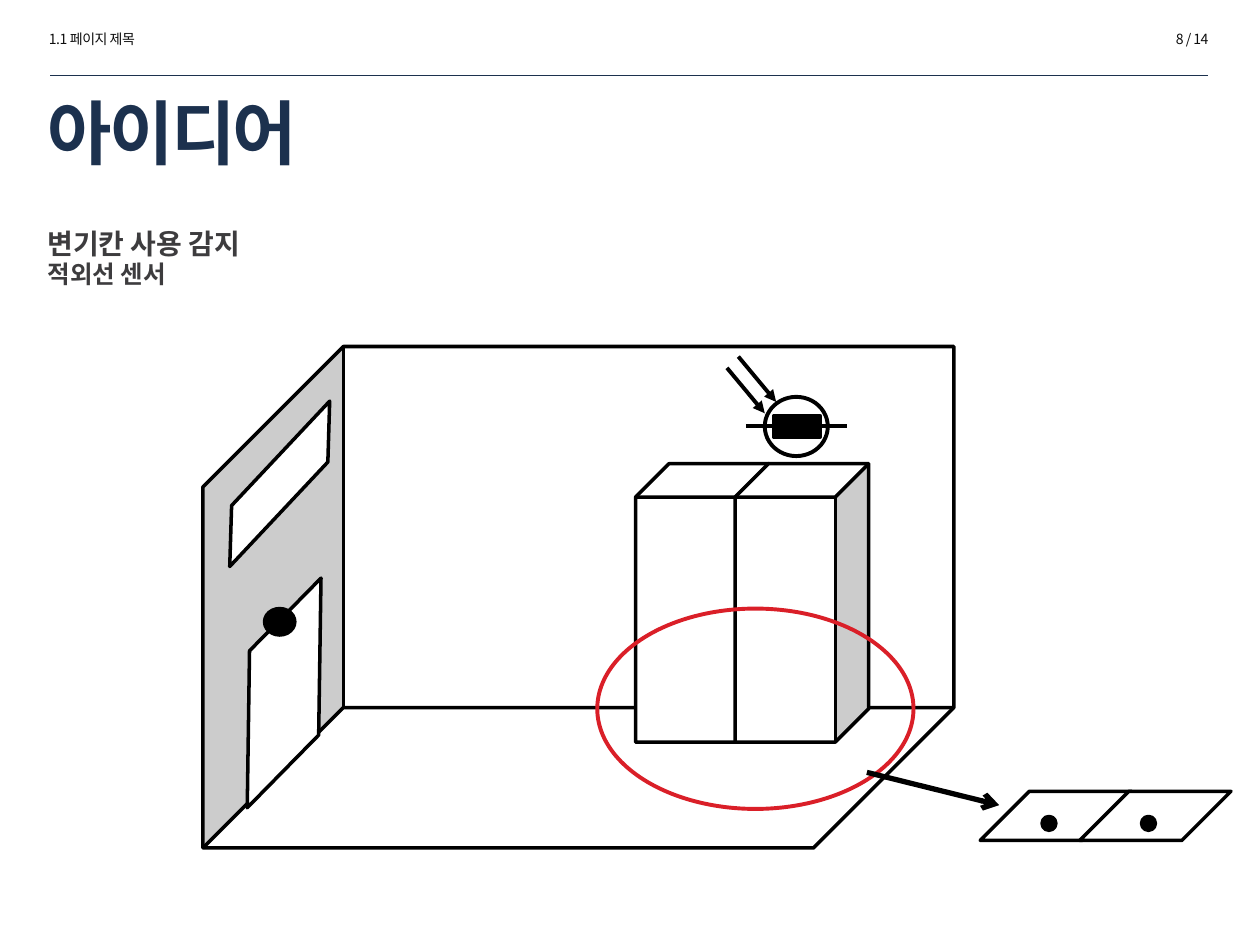
from dataclasses import dataclass

from lxml import etree
from pptx import Presentation
from pptx.dml.color import RGBColor
from pptx.enum.shapes import MSO_CONNECTOR, MSO_SHAPE
from pptx.enum.text import MSO_ANCHOR, PP_ALIGN
from pptx.oxml.ns import qn
from pptx.util import Inches, Pt

CUBE, OVAL, RECT = MSO_SHAPE.CUBE, MSO_SHAPE.OVAL, MSO_SHAPE.RECTANGLE
SLANT = MSO_SHAPE.PARALLELOGRAM
LINE = MSO_CONNECTOR.STRAIGHT
LEFT, RIGHT = PP_ALIGN.LEFT, PP_ALIGN.RIGHT
TOP, MIDDLE = MSO_ANCHOR.TOP, MSO_ANCHOR.MIDDLE

COLS, ROWS = 100, 75  # grid of square cells over the whole slide


@dataclass(frozen=True)
class Theme:
    font: str = "Noto Sans CJK KR"
    navy: str = "1C314E"
    ink: str = "0D0D0D"
    gray: str = "3D3C3E"
    black: str = "000000"
    white: str = "FFFFFF"
    red: str = "DA1F28"
    small: int = 8
    title: int = 40
    head: int = 16
    sub: int = 14
    hair: float = 0.25
    thin: float = 2
    mid: float = 2.25
    thick: float = 3
    leading: float = 0.9


def write(para, text, theme, size, color, bold=False, track=0, align=LEFT, before=0):
    """Put one formatted run into a paragraph."""
    para.alignment = align
    para.line_spacing = theme.leading
    para.space_before = Pt(before)
    run = para.add_run()
    run.text = text
    font = run.font
    font.name, font.size, font.bold = theme.font, Pt(size), bold
    font.color.rgb = RGBColor.from_string(color)
    props = run._r.get_or_add_rPr()
    props.set("spc", str(round(track * 100)))
    etree.SubElement(props, qn("a:ea"), typeface=theme.font)


class Canvas:
    def __init__(self, deck, theme):
        self.theme = theme
        self.slide = deck.slides.add_slide(deck.slide_layouts[6])
        self.items = self.slide.shapes
        self.cell = (deck.slide_width / COLS, deck.slide_height / ROWS)

    def grid(self, *cells):
        """Turn column, row pairs into lengths."""
        return [round(n * self.cell[i % 2]) for i, n in enumerate(cells)]

    def text(self, box, *lines, anchor=TOP):
        frame = self.items.add_textbox(*self.grid(*box)).text_frame
        frame.word_wrap = True
        frame.vertical_anchor = anchor
        for i, (words, style) in enumerate(lines):
            para = frame.add_paragraph() if i else frame.paragraphs[0]
            write(para, words, self.theme, **style)

    def shape(self, kind, box, fill=None, line=None, width=None, turn=0, adj=None):
        item = self.items.add_shape(kind, *self.grid(*box))
        item.shadow.inherit = False
        item.rotation = turn
        if adj is not None:
            item.adjustments[0] = adj
        if fill:
            item.fill.solid()
            item.fill.fore_color.rgb = RGBColor.from_string(fill)
        else:
            item.fill.background()
        item.line.color.rgb = RGBColor.from_string(line or self.theme.black)
        item.line.width = Pt(width or self.theme.thin)

    def line(self, ends, width, color=None, head=None):
        item = self.items.add_connector(LINE, *self.grid(*ends))
        item.line.color.rgb = RGBColor.from_string(color or self.theme.black)
        item.line.width = Pt(width)
        if head:
            etree.SubElement(item.line._get_or_add_ln(), qn("a:tailEnd"), type=head)
        etree.SubElement(item._element.spPr, qn("a:effectLst"))


def main():
    deck = Presentation()
    deck.slide_width, deck.slide_height = Inches(10), Inches(7.5)
    look = Theme()
    page = Canvas(deck, look)

    # Header and title
    note = dict(size=look.small, color=look.ink, track=-0.3)
    page.text((2.9, 2.1, 17.3, 2.4), ("1.1 페이지 제목", note))
    page.line((4, 6, 95.9, 6), look.hair, look.navy)
    page.text((2.8, 7.7, 76.5, 6.4),
              ("아이디어", dict(size=look.title, color=look.navy, bold=True, track=-1.5)),
              anchor=MIDDLE)
    page.text((79.6, 2.1, 17.3, 2.4), ("8 / 14", dict(note, align=RIGHT)))

    # Subject
    bold = dict(color=look.gray, bold=True)
    page.text((2.8, 17.8, 92.6, 13.9),
              ("변기칸 사용 감지", dict(bold, size=look.head)),
              ("적외선 센서", dict(bold, size=look.sub, before=1)))

    # Room with door, knob and window
    page.shape(CUBE, (16.1, 27.5, 59.6, 39.8), look.white, turn=180, adj=0.28)
    page.shape(SLANT, (14, 50.7, 17.1, 8.6), look.white, turn=314.5, adj=1.048)
    page.shape(OVAL, (21, 48.3, 2.4, 2.1), look.black)
    page.shape(SLANT, (14.7, 36.8, 15, 3.2), look.white, turn=133.2, adj=1.133)

    # Two stalls
    gap = 7.9
    for i in range(2):
        page.shape(CUBE, (50.45 + i * gap, 36.8, 10.6, 22.1), look.white)

    # Light sensor with its leads and rays
    page.shape(OVAL, (60.7, 31.5, 5, 4.7), width=look.mid)
    page.shape(RECT, (61.4, 33, 3.7, 1.7), look.black)
    for x in (59.2, 65):
        page.line((x, 33.8, x + 2.2, 33.8), look.mid)
    for x, y in ((58.6, 28.3), (57.7, 29.2)):
        page.line((x, y, x + 3, y + 3.6), look.mid, head="triangle")

    # Stall floors, each with a sensor dot
    for i in range(2):
        page.shape(SLANT, (77.8 + i * gap, 62.8, 12, 3.9), look.white, adj=1)
    for i in range(2):
        page.shape(OVAL, (82.7 + i * gap, 64.8, 1.1, 1.1), look.black)

    # Highlight and pointer to the floors
    page.shape(OVAL, (47.4, 48.3, 25.1, 15.9), line=look.red, width=look.mid)
    page.line((68.8, 61.3, 79.3, 63.9), look.thick, head="arrow")

    deck.save("out.pptx")


if __name__ == "__main__":
    main()
